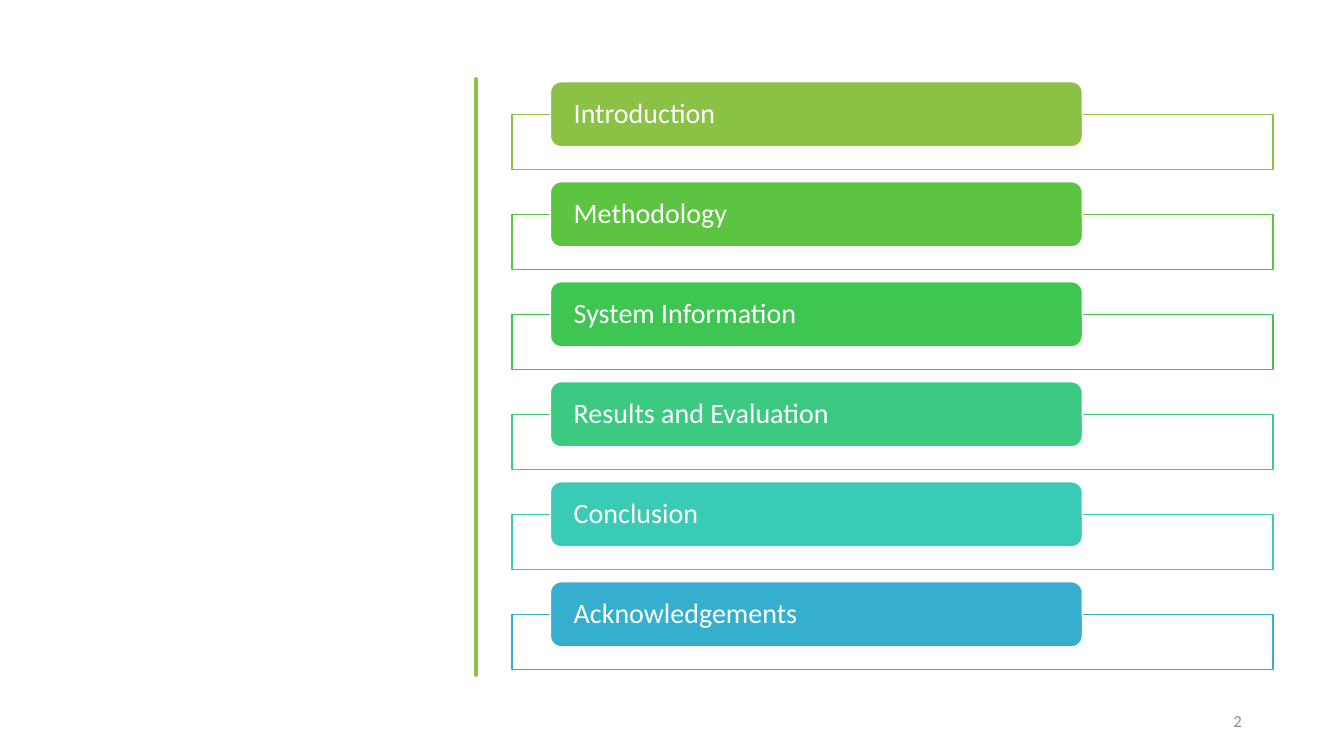
from dataclasses import dataclass

from pptx import Presentation
from pptx.dml.color import RGBColor
from pptx.enum.shapes import MSO_SHAPE
from pptx.enum.text import MSO_ANCHOR, PP_ALIGN
from pptx.shapes.autoshape import Shape
from pptx.slide import Slide
from pptx.text.text import TextFrame
from pptx.util import Cm, Pt

WHITE = RGBColor(0xFF, 0xFF, 0xFF)
GRAY = RGBColor(0x8C, 0x8C, 0x8C)
OLIVE = RGBColor(0x8B, 0xC1, 0x45)
GRASS = RGBColor(0x5D, 0xC4, 0x42)
GREEN = RGBColor(0x3F, 0xC6, 0x52)
JADE = RGBColor(0x3C, 0xC9, 0x82)
TEAL = RGBColor(0x39, 0xCB, 0xB5)
BLUE = RGBColor(0x36, 0xAF, 0xCE)

PITCH = 2.52
STEPS = 6
TOP = 2.13
RIGHT = 12.06
LEFT = 12.01


@dataclass
class Topic:
    title: str
    color: RGBColor


@dataclass
class Bend:
    first: float
    last: float
    end: float


TOPICS = [
    Topic("Introduction", OLIVE),
    Topic("Methodology", GRASS),
    Topic("System Information", GREEN),
    Topic("Results and Evaluation", JADE),
    Topic("Conclusion", TEAL),
    Topic("Acknowledgements", BLUE),
]

DOWN = [
    Bend(0.05, 0.05, 3.71), Bend(-0.05, 0.03, 5.74),
    Bend(-0.03, 0, 7.47), Bend(-0.03, 0.05, 9.04),
    Bend(-0.05, 0.1, 11.07), Bend(-0.1, -0.08, 12.95),
    Bend(0.05, 0.05, 14.83), Bend(-0.05, 0.03, 17.17),
]
UP = [
    Bend(0.03, -0.05, 15.57), Bend(0.03, 0.03, 14.15),
    Bend(-0.03, -0.03, 12.12), Bend(0, -0.05, 10.54),
    Bend(0.03, -0.03, 8.51), Bend(0.03, -0.03, 6.35),
    Bend(0.03, 0.05, 4.6), Bend(-0.08, 0.1, TOP),
]


def paint(shape: Shape, fill: RGBColor, line: RGBColor, width: float) -> None:
    shape.shadow.inherit = False
    shape.fill.solid()
    shape.fill.fore_color.rgb = fill
    shape.line.color.rgb = line
    shape.line.width = Pt(width)


def write(frame: TextFrame, text: str, size: int, color: RGBColor,
          align: PP_ALIGN) -> None:
    frame.text = text
    frame.word_wrap = True
    frame.vertical_anchor = MSO_ANCHOR.MIDDLE
    line = frame.paragraphs[0]
    line.alignment = align
    font = line.runs[0].font
    font.name = "Calibri"
    font.size = Pt(size)
    font.color.rgb = color


def trace(base: float, start: float,
          bends: list[Bend]) -> list[tuple[float, float]]:
    points = [(base, start)]
    for bend in bends:
        for step in range(1, STEPS + 1):
            t = step / STEPS
            lean = 3 * t * (1 - t) * ((1 - t) * bend.first + t * bend.last)
            points.append((base + lean, start + t * (bend.end - start)))
        start = bend.end
    return points


def draw_stroke(slide: Slide) -> None:
    points = trace(RIGHT, TOP, DOWN) + trace(LEFT, DOWN[-1].end, UP)
    pen = slide.shapes.build_freeform(*points[0], scale=float(Cm(1)))
    pen.add_line_segments(points[1:], close=True)
    paint(pen.convert_to_shape(), OLIVE, OLIVE, 3.25)


def draw_topic(slide: Slide, topic: Topic, drop: float) -> None:
    frame = slide.shapes.add_shape(
        MSO_SHAPE.RECTANGLE, Cm(12.9), Cm(2.88 + drop), Cm(19.18), Cm(1.4))
    paint(frame, WHITE, topic.color, 1)
    label = slide.shapes.add_shape(
        MSO_SHAPE.ROUNDED_RECTANGLE,
        Cm(13.87), Cm(2.06 + drop), Cm(13.41), Cm(1.64))
    paint(label, topic.color, WHITE, 1)
    text = label.text_frame
    text.margin_left = text.margin_right = Cm(0.51)
    text.margin_top = text.margin_bottom = 0
    write(text, topic.title, 20, WHITE, PP_ALIGN.LEFT)
    text.paragraphs[0].line_spacing = 0.9


def draw_number(slide: Slide) -> None:
    box = slide.shapes.add_textbox(Cm(23.93), Cm(17.65), Cm(7.62), Cm(1.02))
    write(box.text_frame, "2", 12, GRAY, PP_ALIGN.RIGHT)
    box.text_frame.paragraphs[0].space_after = Pt(6)


def main() -> None:
    deck = Presentation()
    deck.slide_width = Cm(33.87)
    deck.slide_height = Cm(19.05)
    slide = deck.slides.add_slide(deck.slide_layouts[6])
    draw_stroke(slide)
    draw_number(slide)
    for index, topic in enumerate(TOPICS):
        draw_topic(slide, topic, index * PITCH)
    deck.save("out.pptx")


if __name__ == "__main__":
    main()
